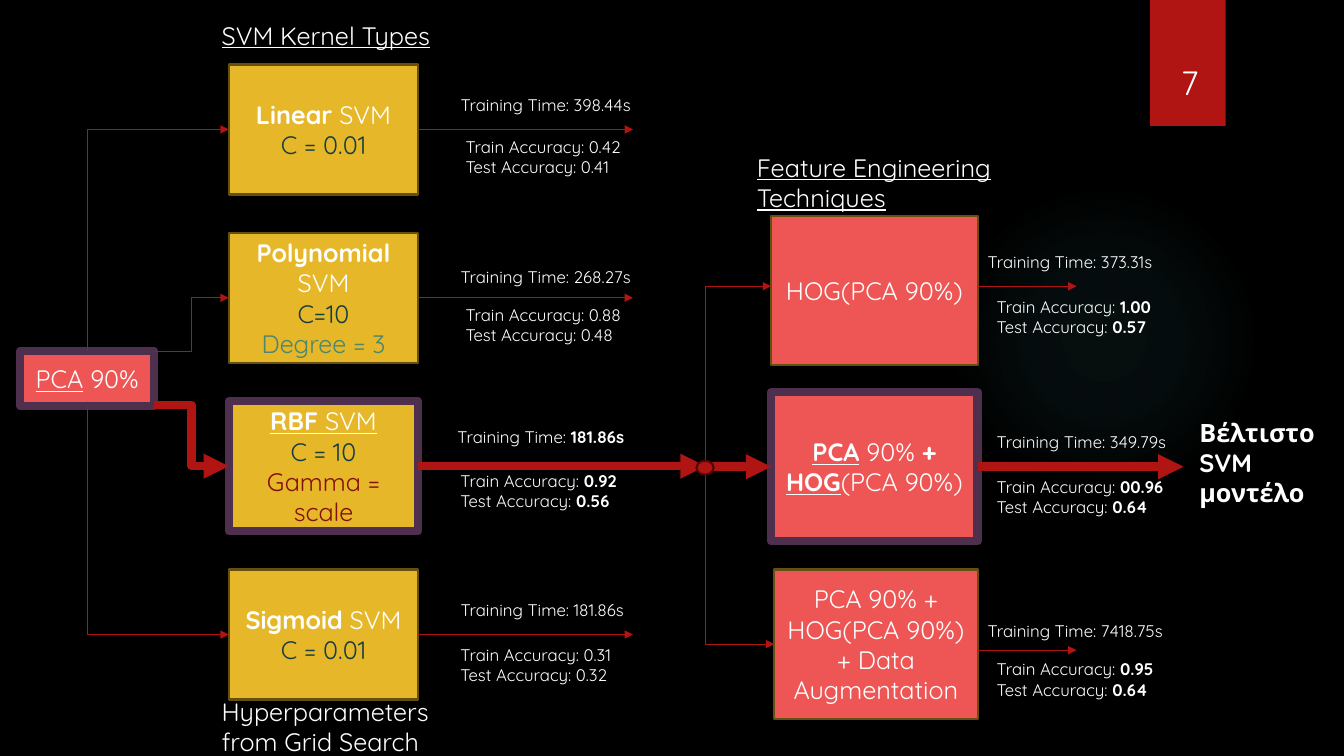
import pptx
import pptx.util
import pptx.dml.color
import pptx.enum.shapes
import pptx.enum.text
import pptx.oxml
import pptx.oxml.ns
from lxml import etree

RGB = pptx.dml.color.RGBColor
BLACK = RGB(0x00, 0x00, 0x00)
WHITE = RGB(0xFF, 0xFF, 0xFF)
RED = RGB(0xB0, 0x15, 0x13)
MAROON = RGB(0x4D, 0x09, 0x08)
CORAL = RGB(0xED, 0x56, 0x54)
GOLD = RGB(0xE6, 0xB7, 0x29)
BROWN = RGB(0x65, 0x50, 0x12)
PLUM = RGB(0x4F, 0x2F, 0x4E)
TEAL = RGB(0x17, 0x3D, 0x40)
GREEN = RGB(0x4B, 0x86, 0x6D)
WINE = RGB(0x84, 0x10, 0x0E)

SHAPE = pptx.enum.shapes.MSO_SHAPE
LINK = pptx.enum.shapes.MSO_CONNECTOR
ALIGN = pptx.enum.text.PP_ALIGN
qn = pptx.oxml.ns.qn
TOP, LEFT, BOTTOM, RIGHT = range(4)
THIN, THICK = 0.75, 6

GLOW = """<a:gradFill xmlns:a="http://schemas.openxmlformats.org/drawingml/2006/main"><a:gsLst>
<a:gs pos="0"><a:srgbClr val="50B9C1"><a:alpha val="7000"/></a:srgbClr></a:gs>
<a:gs pos="36000"><a:srgbClr val="50B9C1"><a:alpha val="6000"/></a:srgbClr></a:gs>
<a:gs pos="69000"><a:srgbClr val="50B9C1"><a:alpha val="0"/></a:srgbClr></a:gs>
</a:gsLst><a:path path="circle"><a:fillToRect l="50000" t="50000" r="50000" b="50000"/></a:path>
</a:gradFill>"""


class Diagram:
    """Draws on one page; every length is in columns and rows of a 40 by 30 grid."""

    font = "Quicksand"

    def __init__(self, deck):
        self.page = deck.slides.add_slide(deck.slide_layouts[6])
        self.column = deck.slide_width / 40
        self.row = deck.slide_height / 30
        self.page.background.fill.solid()
        self.page.background.fill.fore_color.rgb = BLACK

    def across(self, columns):
        return round(columns * self.column)

    def down(self, rows):
        return round(rows * self.row)

    def place(self, left, top, width, height):
        return self.across(left), self.down(top), self.across(width), self.down(height)

    def set_lines(self, box, lines, size, align):
        """Each line is a list of spans: (text, "b" and "u" marks, colour)."""
        frame = box.text_frame
        frame.word_wrap = True
        for index, spans in enumerate(lines):
            para = frame.add_paragraph() if index else frame.paragraphs[0]
            para.alignment = align
            for text, marks, colour in spans:
                span = para.add_run()
                span.text = text
                span.font.name = self.font
                span.font.size = pptx.util.Pt(size)
                span.font.bold = "b" in marks
                span.font.underline = "u" in marks
                span.font.color.rgb = colour

    def shape(self, kind, at, fill=None, line=None, weight=1.5, lines=()):
        box = self.page.shapes.add_shape(kind, *self.place(*at))
        box.shadow.inherit = False
        if fill is not None:
            box.fill.solid()
            box.fill.fore_color.rgb = fill
        if line is None:
            box.line.fill.background()
        else:
            box.line.color.rgb = line
            box.line.width = pptx.util.Pt(weight)
        if lines:
            box.text_frame.vertical_anchor = pptx.enum.text.MSO_ANCHOR.MIDDLE
            self.set_lines(box, lines, 18, ALIGN.CENTER)
        return box

    def card(self, at, fill, lines, chosen=False):
        line, weight = (PLUM, THICK) if chosen else (BROWN, 1.5)
        return self.shape(SHAPE.RECTANGLE, at, fill, line, weight, lines)

    def glow(self, at):
        halo = self.shape(SHAPE.OVAL, at)
        halo.fill.background()
        properties = halo._element.spPr
        properties.replace(properties.find(qn("a:noFill")), pptx.oxml.parse_xml(GLOW))

    def label(self, at, lines, size=18):
        box = self.page.shapes.add_textbox(*self.place(*at))
        self.set_lines(box, lines, size, ALIGN.LEFT)
        box.text_frame.auto_size = pptx.enum.text.MSO_AUTO_SIZE.SHAPE_TO_FIT_TEXT

    def scores(self, time_at, rates_at, time, train, test, bold_time="", bold_rates=""):
        self.label((*time_at, 6, 1.2),
                   [[("Training Time: ", "", WHITE), (time, bold_time, WHITE)]], 12)
        self.label((*rates_at, 8.31, 2),
                   [[("Train Accuracy: ", "", WHITE), (train, bold_rates, WHITE)],
                    [("Test Accuracy: ", "", WHITE), (test, bold_rates, WHITE)]], 12)

    def arrow(self, start, end, weight=THIN, kind=LINK.STRAIGHT, source=None, target=None):
        """source and target are (box, side) pairs to join."""
        line = self.page.shapes.add_connector(
            kind, self.across(start[0]), self.down(start[1]),
            self.across(end[0]), self.down(end[1]))
        if source:
            line.begin_connect(*source)
        if target:
            line.end_connect(*target)
        line.line.color.rgb = RED
        line.line.width = pptx.util.Pt(weight)
        properties = line._element.spPr
        etree.SubElement(properties.find(qn("a:ln")), qn("a:tailEnd"), type="triangle")
        etree.SubElement(properties, qn("a:effectLst"))
        return line

    def corner(self, start, end, source=None, target=None):
        """Goes straight up or down first, then right with a single bend."""
        line = self.arrow(start, end, THIN, LINK.ELBOW, source, target)
        rising = line.end_y < line.begin_y
        left, top, width, height = line.left, line.top, line.width, line.height
        line.left, line.top = left + (width - height) // 2, top + (height - width) // 2
        line.width, line.height = height, width
        properties = line._element.spPr
        properties.find(qn("a:prstGeom")).set("prst", "bentConnector2")
        frame = properties.find(qn("a:xfrm"))
        frame.set("rot", "5400000" if rising else "16200000")
        frame.set("flipH", "1")
        frame.set("flipV", "1" if rising else "0")


def kernel_title(name, marks=""):
    return [(name, "b" + marks, WHITE), (" SVM", marks, WHITE)]


def draw_kernels(diagram):
    start = diagram.card((0.6, 13.92, 3.99, 2.2), CORAL,
                         [[("PCA", "u", WHITE), (" 90%", "", WHITE)]], True)
    texts = [
        [kernel_title("Linear"), [("C = 0.01", "", TEAL)]],
        [kernel_title("Polynomial"), [("C=10", "", TEAL)], [("Degree = 3", "", GREEN)]],
        [kernel_title("RBF", "u"), [("C = 10", "", TEAL)], [("Gamma = scale", "", WINE)]],
        [kernel_title("Sigmoid"), [("C = 0.01", "", TEAL)]],
    ]
    results = [
        ((13.41, 3.56), (13.56, 5.24), "398.44s", "0.42", "0.41"),
        ((13.41, 10.4), (13.56, 11.88), "268.27s", "0.88", "0.48"),
        ((13.32, 16.72), (13.41, 18.48), "181.86s", "0.92", "0.56", "b", "b"),
        ((13.41, 23.6), (13.41, 25.4), "181.86s", "0.31", "0.32"),
    ]
    for index, (lines, result) in enumerate(zip(texts, results)):
        top = 2.56 + 6.68 * index
        middle = top + 2.58
        chosen = index == 2
        kernel = diagram.card((6.81, top, 5.64, 5.16), GOLD, lines, chosen)
        diagram.arrow((12.45, middle), (21 if chosen else 18.84, middle),
                      THICK if chosen else THIN, source=(kernel, RIGHT))
        diagram.scores(*result)
        entry = (6.81, middle)
        if index in (0, 3):
            side, edge = (TOP, 13.92) if index == 0 else (BOTTOM, 16.12)
            diagram.corner((2.59, edge), entry, (start, side), (kernel, LEFT))
        else:
            diagram.arrow((4.59, 16.08 if chosen else 13.96), entry,
                          THICK if chosen else THIN, LINK.ELBOW, target=(kernel, LEFT))


def draw_features(diagram):
    combined = [("PCA", "bu", WHITE), (" 90% ", "", WHITE), ("+ ", "b", WHITE),
                ("HOG", "bu", WHITE), ("(PCA 90%)", "", WHITE)]
    augmented = [("PCA 90% + HOG(PCA 90%) + Data Augmentation", "", WHITE)]
    diagram.card((22.95, 8.56, 6.15, 5.92), CORAL, [[("HOG(PCA 90%)", "", WHITE)]])
    best = diagram.card((22.95, 15.56, 6.15, 5.92), CORAL, [combined], True)
    widest = diagram.card((23.04, 22.6, 6.06, 5.92), CORAL, [augmented])

    diagram.corner((21, 18.36), (22.95, 11.36))
    diagram.arrow((21, 18.52), (22.95, 18.52), THICK, target=(best, LEFT))
    diagram.corner((21, 18.52), (23.04, 25.56), target=(widest, LEFT))
    diagram.shape(SHAPE.OVAL, (20.73, 18.28, 0.51, 0.56), RED, MAROON)

    diagram.arrow((29.1, 11.36), (32.04, 11.36))
    diagram.arrow((29.1, 18.52), (35.22, 18.52), THICK, source=(best, RIGHT))
    diagram.arrow((29.1, 25.8), (32.04, 25.8))
    diagram.scores((29.1, 9.8), (29.37, 11.56), "373.31s", "1.00", "0.57", "", "b")
    diagram.scores((29.37, 16.92), (29.37, 18.72), "349.79s", "00.96", "0.64", "", "b")
    diagram.scores((29.1, 24.44), (29.37, 25.96), "7418.75s", "0.95", "0.64", "", "b")


def main():
    deck = pptx.Presentation()
    deck.slide_width = pptx.util.Inches(13.33)
    deck.slide_height = pptx.util.Inches(7.5)
    diagram = Diagram(deck)
    diagram.glow((28.23, 7.32, 9.24, 12.32))
    diagram.shape(SHAPE.RECTANGLE, (34.23, 0, 2.25, 5), RED)
    draw_kernels(diagram)
    draw_features(diagram)
    for at, text, marks in (
            ((6.3, 0.6, 7.86, 1.6), "SVM Kernel Types", "u"),
            ((6.3, 27.44, 8.52, 2.84), "Hyperparameters from Grid Search", ""),
            ((22.23, 5.84, 10.62, 2.84), "Feature Engineering Techniques", "u"),
            ((35.4, 16.36, 4.26, 4.04), "Βέλτιστο SVM μοντέλο", "b")):
        diagram.label(at, [[(text, marks, WHITE)]])
    diagram.label((34.86, 2.28, 1.92, 2), [[("7", "", WHITE)]], 24)
    deck.save("out.pptx")


if __name__ == "__main__":
    main()
